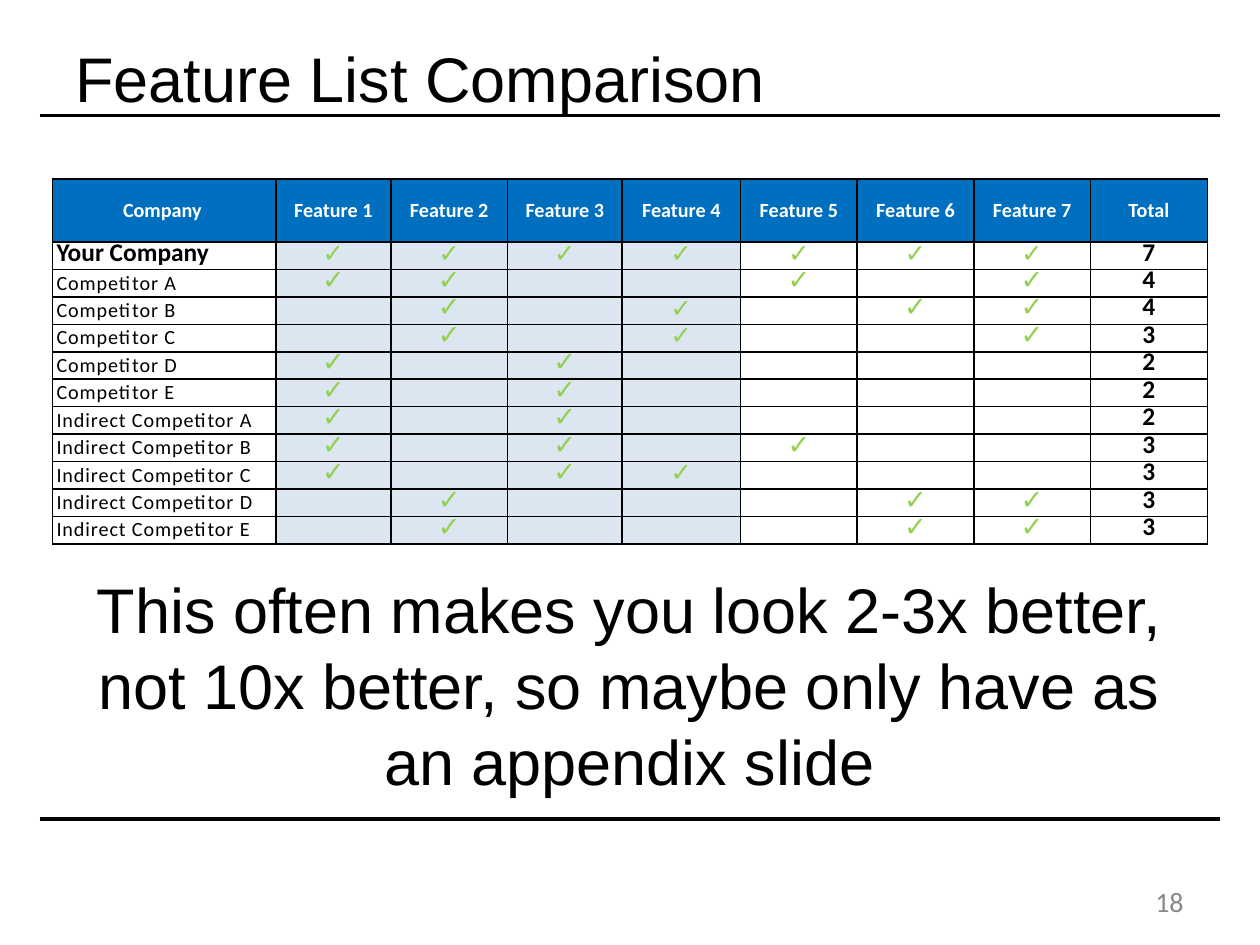
from lxml.etree import SubElement
from pptx import Presentation
from pptx.dml.color import RGBColor
from pptx.enum.shapes import MSO_CONNECTOR
from pptx.enum.text import MSO_AUTO_SIZE, PP_ALIGN
from pptx.oxml.ns import qn
from pptx.util import Cm, Pt

COLORS = {"black": "000000", "white": "FFFFFF", "header": "006FC0",
          "shade": "DCE6F0", "tick": "92D050", "page": "888888"}
TICK = "\u2713"


def write(frame, text, color, font, layout, tracking=0):
    paragraph = frame.paragraphs[0]
    for name, value in layout.items():
        setattr(paragraph, name, value)
    run = paragraph.add_run()
    run.text = text
    for name, value in font.items():
        setattr(run.font, name, value)
    run.font.color.rgb = RGBColor.from_string(COLORS[color])
    if tracking:
        run.font._element.set("spc", str(tracking))


def set_borders(cell):
    properties = cell._tc.get_or_add_tcPr()
    for index, side in enumerate(("lnL", "lnR", "lnT", "lnB")):
        border = SubElement(properties, qn(f"a:{side}"), w=str(Pt(1)))
        fill = SubElement(border, qn("a:solidFill"))
        SubElement(fill, qn("a:srgbClr"), val=COLORS["black"])
        properties.insert(index, border)


presentation = Presentation()
presentation.slide_width, presentation.slide_height = Cm(25.4), Cm(19.05)
slide = presentation.slides.add_slide(presentation.slide_layouts[6])

for top, weight in ((16.51, 1.8), (2.33, 1.56)):
    rule = slide.shapes.add_connector(
        MSO_CONNECTOR.STRAIGHT, Cm(0.8), Cm(top), Cm(24.6), Cm(top))
    rule.line.width = Pt(weight)
    rule.line.color.rgb = RGBColor.from_string(COLORS["black"])
    SubElement(rule._element.spPr, qn("a:effectLst"))

heading_font = {"name": "Arial", "size": Pt(36)}
page_font = {"name": "Calibri", "size": Pt(16)}
texts = [
    ("Feature List Comparison", (1.52, 0.76, 17.7, 1.6), "black", heading_font,
     {"space_before": Pt(1)}),
    ("This often makes you look 2-3x better, not 10x better, "
     "so maybe only have as an appendix slide", (1.93, 11.48, 21.51, 4.65),
     "black", heading_font,
     {"space_before": Pt(1), "alignment": PP_ALIGN.CENTER}),
    ("18", (23.29, 17.91, 0.71, 0.64), "page", page_font,
     {"line_spacing": Pt(16.2)}),
]
for text, box, color, font, layout in texts:
    frame = slide.shapes.add_textbox(*map(Cm, box)).text_frame
    frame_format = {"margin_left": 0, "margin_right": 0, "margin_top": Cm(0.03),
                    "margin_bottom": 0, "word_wrap": True,
                    "auto_size": MSO_AUTO_SIZE.SHAPE_TO_FIT_TEXT}
    for name, value in frame_format.items():
        setattr(frame, name, value)
    write(frame, text, color, font, layout)

features = range(1, 8)
companies = [
    ("Your Company", features),
    ("Competitor A", (1, 2, 5, 7)),
    ("Competitor B", (2, 4, 6, 7)),
    ("Competitor C", (2, 4, 7)),
    ("Competitor D", (1, 3)),
    ("Competitor E", (1, 3)),
    ("Indirect Competitor A", (1, 3)),
    ("Indirect Competitor B", (1, 3, 5)),
    ("Indirect Competitor C", (1, 3, 4)),
    ("Indirect Competitor D", (2, 6, 7)),
    ("Indirect Competitor E", (2, 6, 7)),
]
rows = [["Company", *(f"Feature {number}" for number in features), "Total"]]
for company, ticks in companies:
    marks = [TICK if number in ticks else "" for number in features]
    rows.append([company, *marks, str(len(ticks))])

column_widths = [4.5, 2.32, 2.35, 2.31, 2.39, 2.35, 2.35, 2.35, 2.36]
header_height, body_height = Cm(1.27), Cm(6.09)
comparison = slide.shapes.add_table(
    len(rows), len(column_widths), Cm(1.06), Cm(3.61),
    Cm(sum(column_widths)), header_height + body_height).table
comparison.first_row = comparison.horz_banding = False
for column, width in zip(comparison.columns, column_widths):
    column.width = Cm(width)
for index, row in enumerate(comparison.rows):
    row.height = body_height // len(companies) if index else header_height

small_bold = {"name": "Calibri", "size": Pt(11.5), "bold": True}
small = {**small_bold, "bold": False}
large_bold = {**small_bold, "size": Pt(14.5)}
tight = {"line_spacing": Pt(14.7)}
centered = {**tight, "alignment": PP_ALIGN.CENTER}

for row, values in enumerate(rows):
    for column, value in enumerate(values):
        cell = comparison.cell(row, column)
        color, font, layout, tracking = "black", large_bold, centered, 0
        left, top = 0, 0
        if row == 0:
            color, font, top = "white", small_bold, 0.38
            layout = {"space_before": Pt(10.6)}
            if column:
                layout["alignment"] = PP_ALIGN.CENTER
            else:
                left = 1.42
        elif column == 0:
            left = 0.08
            layout = tight
            if row > 1:
                font, layout = small, {"space_before": Pt(0.8)}
                tracking, top = 50, 0.03
        elif value == TICK:
            size = 14.5 if row == 1 or column == 4 else 15.5
            color, font = "tick", {"name": "Arial", "size": Pt(size)}
        margins = {"margin_left": Cm(left), "margin_top": Cm(top),
                   "margin_right": 0, "margin_bottom": 0}
        for name, margin in margins.items():
            setattr(cell, name, margin)
        if row == 0 or 1 <= column <= 4:
            cell.fill.solid()
            cell.fill.fore_color.rgb = RGBColor.from_string(
                COLORS["shade" if row else "header"])
        else:
            cell.fill.background()
        set_borders(cell)
        if value:
            write(cell.text_frame, value, color, font, layout, tracking)
        else:
            SubElement(cell.text_frame.paragraphs[0]._p,
                       qn("a:endParaRPr"), sz="1100")

presentation.save("out.pptx")
